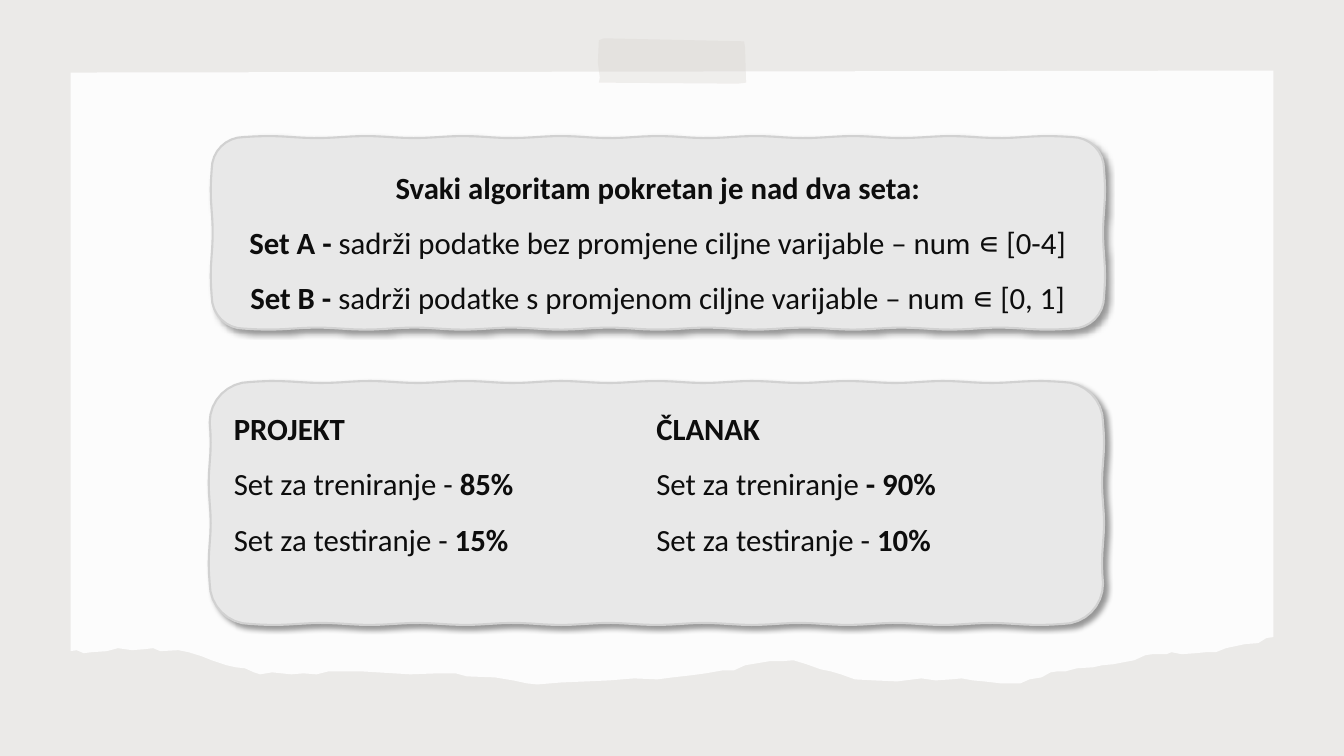
import math
from dataclasses import dataclass

from lxml import etree
from pptx import Presentation
from pptx import util as u
from pptx.dml.color import RGBColor
from pptx.enum import text
from pptx.oxml import ns


@dataclass(frozen=True)
class Theme:
    """Colours, font and sizes of the slide."""
    background: str = "EBEAE8"
    paper: str = "FCFCFC"
    tape: str = "D9D4D0"
    card: str = "E8E8E8"
    card_line: str = "D1D1D1"
    ink: str = "0D0D0D"
    shadow: str = "000000"
    font: str = "Calibri"
    size: int = 22
    line_width: float = 1.5
    line_spacing: float = 1.5


THEME = Theme()

TORN_EDGE = [
    (12.63, 6.32), (12.56, 6.33), (12.48, 6.38), (12.35, 6.39), (12.16, 6.43),
    (12.06, 6.47), (11.96, 6.47), (11.86, 6.48), (11.72, 6.49), (11.62, 6.47),
    (11.57, 6.49), (11.43, 6.49), (11.36, 6.5), (11.25, 6.55), (11.04, 6.59),
    (10.93, 6.6), (10.84, 6.62), (10.68, 6.63), (10.57, 6.66), (10.49, 6.66),
    (10.42, 6.67), (10.33, 6.72), (10.21, 6.74), (10.12, 6.78), (9.93, 6.78),
    (9.76, 6.76), (9.65, 6.75), (9.54, 6.73), (9.43, 6.74), (9.28, 6.75),
    (9.14, 6.73), (8.9, 6.76), (8.67, 6.75), (8.48, 6.74), (8.34, 6.69),
    (8.24, 6.66), (8.14, 6.64), (8, 6.59), (7.87, 6.55), (7.75, 6.56),
    (7.63, 6.56), (7.39, 6.6), (7.28, 6.65), (7.17, 6.65), (7, 6.68),
    (6.85, 6.7), (6.67, 6.72), (6.52, 6.74), (6.29, 6.73), (6.04, 6.75),
    (5.82, 6.76), (5.57, 6.77), (5.33, 6.79), (5.23, 6.78), (5.09, 6.75),
    (4.91, 6.72), (4.63, 6.71), (4.52, 6.68), (4.34, 6.68), (4.07, 6.69),
    (3.58, 6.66), (3.26, 6.66), (3.14, 6.69), (3.01, 6.68), (2.89, 6.69),
    (2.7, 6.67), (2.58, 6.69), (2.52, 6.67), (2.43, 6.63), (2.34, 6.62),
    (2.25, 6.6), (2.1, 6.55), (2, 6.51), (1.87, 6.47), (1.77, 6.45),
    (1.59, 6.46), (1.52, 6.43), (1.44, 6.44), (1.31, 6.45), (1.17, 6.43),
    (1.06, 6.46), (0.91, 6.47), (0.83, 6.48), (0.76, 6.45), (0.7, 6.46),
]
PAPER = [(0.7, 0.72), (12.63, 0.7)] + TORN_EDGE
TAPE = [(5.94, 0.4), (5.99, 0.38), (7.38, 0.41), (7.39, 0.47), (7.4, 0.82),
        (7.32, 0.83), (5.94, 0.82), (5.95, 0.77), (5.93, 0.62)]

SETS_TEXT = [
    [("Svaki algoritam pokretan je nad dva seta:", True)],
    [("Set A - ", True), ("sadrži podatke bez promjene ciljne varijable – num ∊ [0-4]", False)],
    [("Set B - ", True), ("sadrži podatke s promjenom ciljne varijable – num ∊ [0, 1]", False)],
]
PROJECT_TEXT = [
    [("PROJEKT", True)],
    [("Set za treniranje - ", False), ("85%", True)],
    [("Set za testiranje - ", False), ("15%", True)],
]
ARTICLE_TEXT = [
    [("ČLANAK", True)],
    [("Set za treniranje", False), (" - 90%", True)],
    [("Set za testiranje - ", False), ("10%", True)],
]


def add_outline(slide, points, color, alpha=None):
    """Add a closed, filled outline through points given in inches."""
    corners = [(u.Inches(x), u.Inches(y)) for x, y in points]
    builder = slide.shapes.build_freeform(*corners[0])
    builder.add_line_segments(corners[1:], close=True)
    shape = builder.convert_to_shape()
    shape.shadow.inherit = False
    shape.fill.solid()
    shape.fill.fore_color.rgb = RGBColor.from_string(color)
    shape.line.fill.background()
    if alpha is not None:
        fill_color = shape._element.spPr.find(".//" + ns.qn("a:srgbClr"))
        etree.SubElement(fill_color, ns.qn("a:alpha"), val=str(alpha * 1000))
    return shape


def wavy_card_points(left, top, width, height, wave=0.01):
    """Return a rounded rectangle whose sides waver slightly."""
    radius = height / 6
    right, bottom = left + width - radius, top + height - radius
    centres = [(left + radius, top + radius), (right, top + radius),
               (right, bottom), (left + radius, bottom)]
    points = []
    for side, (x, y) in enumerate(centres):
        for step in range(9):
            angle = math.pi + (side + step / 8) * math.pi / 2
            points.append((x + radius * math.cos(angle), y + radius * math.sin(angle)))
        next_x, next_y = centres[(side + 1) % 4]
        length = math.hypot(next_x - x, next_y - y)
        steps = math.ceil(length * 10)
        for step in range(1, steps):
            part = step / steps
            reach = radius + wave * math.sin(math.pi * math.ceil(length * 2) * part)
            points.append((x + (next_x - x) * part + reach * math.cos(angle),
                           y + (next_y - y) * part + reach * math.sin(angle)))
    return points


def add_card(slide, left, top, width, height):
    """Add a grey wavy card with a soft shadow at its lower right."""
    shape = add_outline(slide, wavy_card_points(left, top, width, height), THEME.card)
    shape.line.color.rgb = RGBColor.from_string(THEME.card_line)
    shape.line.width = u.Pt(THEME.line_width)
    effects = shape._element.spPr.find(ns.qn("a:effectLst"))
    shadow = etree.SubElement(effects, ns.qn("a:outerShdw"), blurRad=str(u.Pt(4)),
                              dist=str(u.Pt(3)), dir="2700000", algn="tl", rotWithShape="0")
    color = etree.SubElement(shadow, ns.qn("a:srgbClr"), val=THEME.shadow)
    etree.SubElement(color, ns.qn("a:alpha"), val="40000")
    return shape


def write_lines(text_frame, lines, alignment):
    """Fill a text frame with lines made of (wording, bold) runs."""
    text_frame.word_wrap = True
    for index, line in enumerate(lines):
        paragraph = text_frame.add_paragraph() if index else text_frame.paragraphs[0]
        paragraph.alignment = alignment
        paragraph.line_spacing = THEME.line_spacing
        for wording, bold in line:
            run = paragraph.add_run()
            run.text = wording
            run.font.name = THEME.font
            run.font.size = u.Pt(THEME.size)
            run.font.bold = bold
            run.font.color.rgb = RGBColor.from_string(THEME.ink)


def add_column(slide, left, top, lines):
    """Add a left-aligned column of text without margins."""
    box = slide.shapes.add_textbox(u.Inches(left), u.Inches(top), u.Inches(4), u.Inches(1.68))
    frame = box.text_frame
    frame.margin_left = frame.margin_right = frame.margin_top = frame.margin_bottom = 0
    write_lines(frame, lines, text.PP_ALIGN.LEFT)


def main():
    """Build the slide and save it."""
    presentation = Presentation()
    presentation.slide_width = u.Inches(13.33)
    presentation.slide_height = u.Inches(7.5)
    slide = presentation.slides.add_slide(presentation.slide_layouts[6])
    slide.background.fill.solid()
    slide.background.fill.fore_color.rgb = RGBColor.from_string(THEME.background)

    add_outline(slide, PAPER, THEME.paper)
    add_outline(slide, TAPE, THEME.tape, alpha=35)

    sets_card = add_card(slide, 2.1, 1.36, 8.85, 1.9)
    sets_card.text_frame.vertical_anchor = text.MSO_ANCHOR.MIDDLE
    write_lines(sets_card.text_frame, SETS_TEXT, text.PP_ALIGN.CENTER)

    add_card(slide, 2.08, 3.79, 8.86, 2.4)
    for left, lines in ((2.32, PROJECT_TEXT), (6.51, ARTICLE_TEXT)):
        add_column(slide, left, 3.88, lines)

    presentation.save("out.pptx")


if __name__ == "__main__":
    main()
